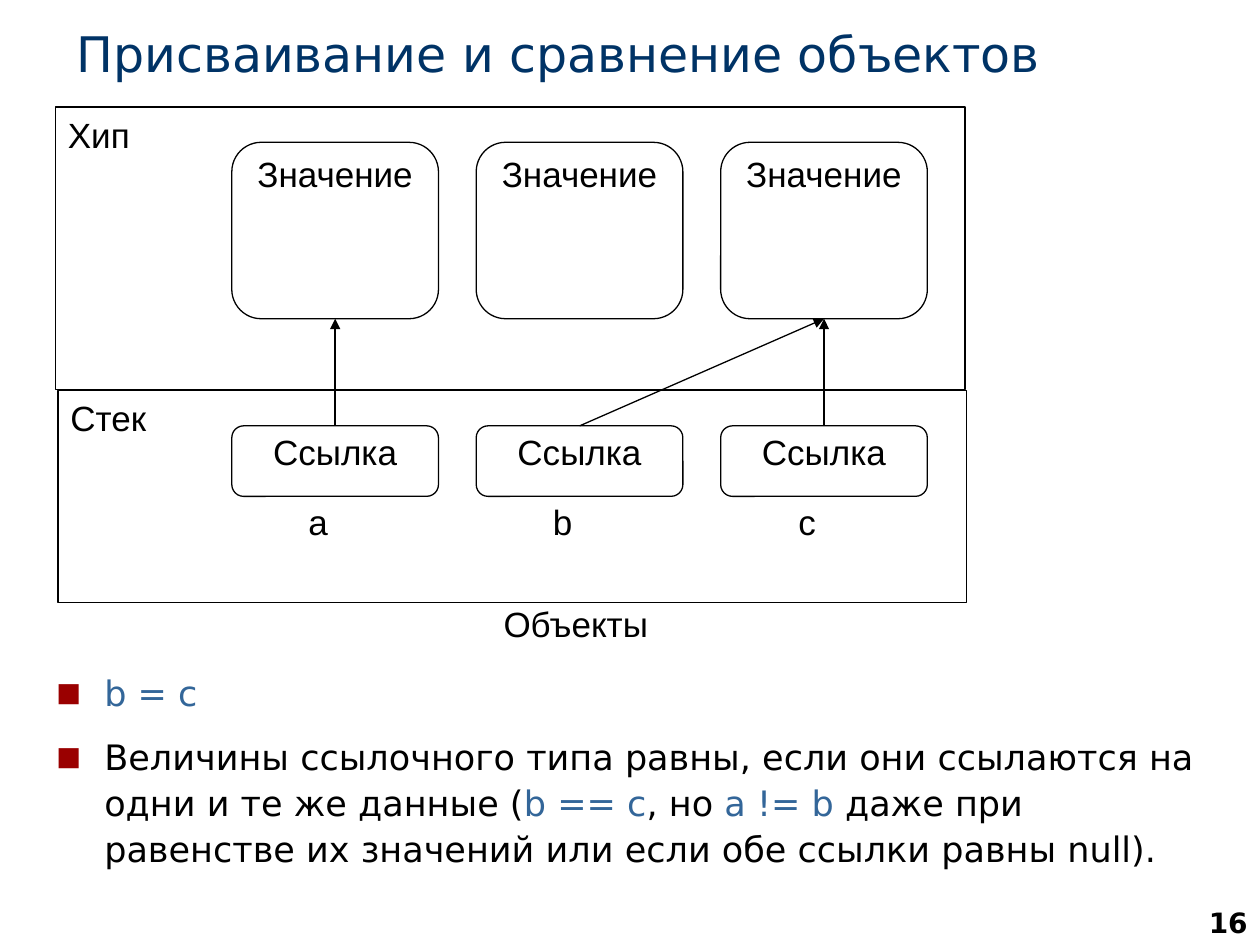
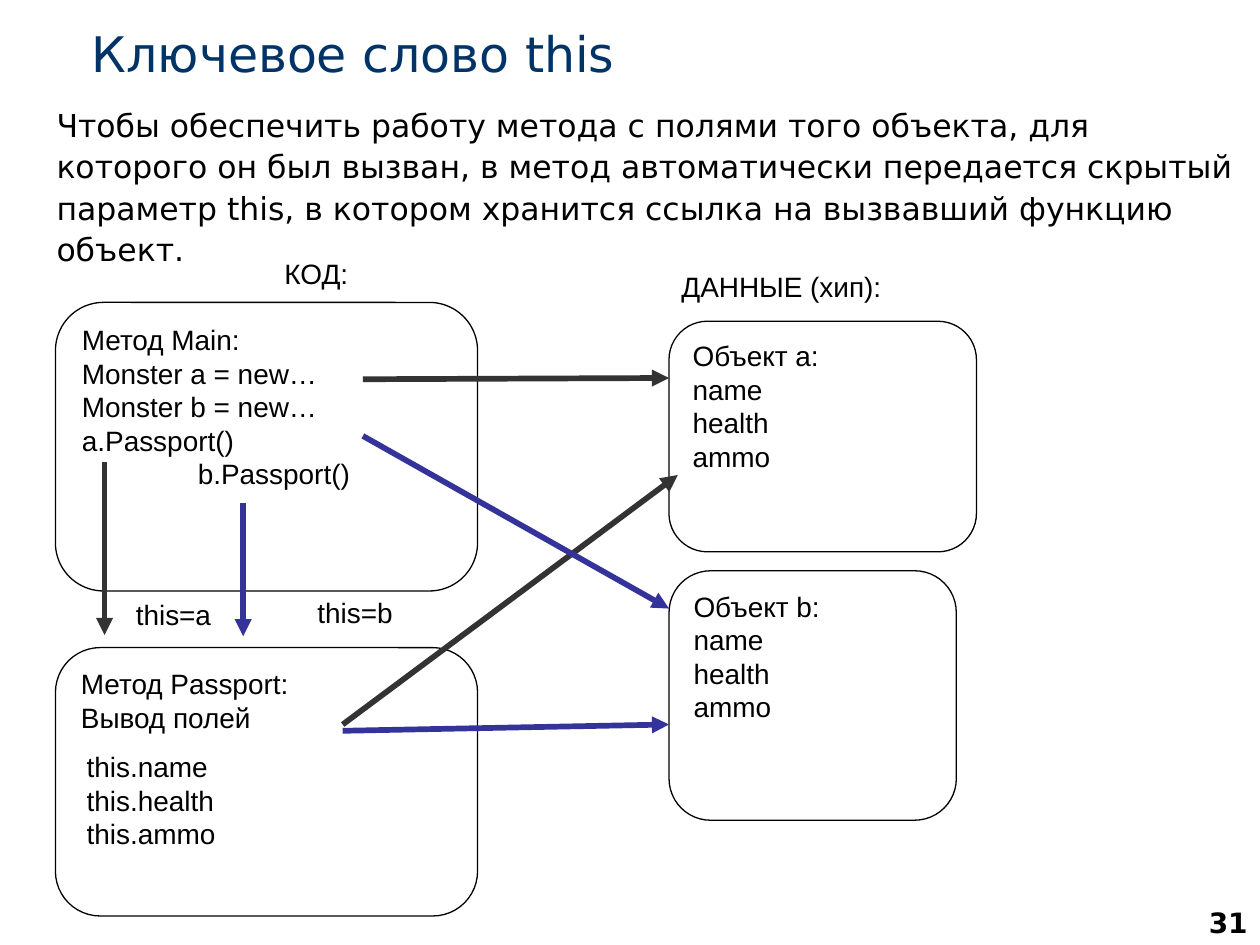
from dataclasses import dataclass
from typing import Optional

from lxml import etree
from pptx import Presentation
from pptx import util as u
from pptx.dml.color import RGBColor
from pptx.enum import shapes, text
from pptx.oxml.ns import qn

# Grid: 100 columns by 75 rows over the whole slide
W, H = u.Inches(10), u.Inches(7.5)
COLS, ROWS = 100, 75

COLORS = {"ink": "000000", "paper": "FFFFFF", "title": "003366", "code": "336699",
          "bullet": "9A0000", "arrow_a": "333333", "arrow_b": "333399"}
SANS, WIDE = "Arial", "DejaVu Sans"
LEFT, CENTER, RIGHT = text.PP_ALIGN.LEFT, text.PP_ALIGN.CENTER, text.PP_ALIGN.RIGHT
TOP, BOTTOM = text.MSO_ANCHOR.TOP, text.MSO_ANCHOR.BOTTOM
RECT, ROUND = shapes.MSO_SHAPE.RECTANGLE, shapes.MSO_SHAPE.ROUNDED_RECTANGLE


@dataclass
class Style:
    size: float = 16
    font: str = SANS
    color: str = "ink"
    bold: bool = False
    align: text.PP_ALIGN = LEFT
    spacing: float = 1.0
    gap: float = 0
    bullet: bool = False


@dataclass
class Para:
    runs: list[tuple[str, str]]  # text, colour name
    indent: float = 0            # columns


@dataclass
class Box:
    at: tuple[float, float, float, float]  # column, row, columns, rows
    lines: list
    style: Style
    kind: Optional[shapes.MSO_SHAPE] = None  # None is a text box
    fill: Optional[str] = None
    line: Optional[str] = None
    tight: bool = False
    anchor: text.MSO_ANCHOR = TOP


@dataclass
class Arrow:
    start: tuple[float, float]
    end: tuple[float, float]
    color: str = "ink"
    width: float = 0.75


PAGE_NUMBER = Style(16, WIDE, bold=True, align=RIGHT)
TITLE = Style(28, WIDE, "title")
LABEL = Style(20)
CENTERED = Style(20, align=CENTER)
SMALL = Style(16)


def rgb(name: str) -> RGBColor:
    return RGBColor.from_string(COLORS[name])


def x(col: float) -> int:
    return round(W * col / COLS)


def y(row: float) -> int:
    return round(H * row / ROWS)


def add_bullet(p) -> None:
    pPr = p._p.get_or_add_pPr()
    pPr.set("marL", str(x(3.8)))
    pPr.set("indent", str(-x(3.8)))
    clr = etree.SubElement(pPr, qn("a:buClr"))
    etree.SubElement(clr, qn("a:srgbClr"), val=COLORS["bullet"])
    etree.SubElement(pPr, qn("a:buSzPct"), val="75000")
    etree.SubElement(pPr, qn("a:buFont"), typeface=WIDE)
    etree.SubElement(pPr, qn("a:buChar"), char="■")


def write(tf, lines: list, style: Style) -> None:
    for i, line in enumerate(lines):
        para = line if isinstance(line, Para) else Para([(line, style.color)])
        p = tf.paragraphs[0] if i == 0 else tf.add_paragraph()
        p.alignment, p.line_spacing = style.align, style.spacing
        p.space_before = p.space_after = u.Pt(style.gap)
        if para.indent:
            p._p.get_or_add_pPr().set("marL", str(x(para.indent)))
        if style.bullet:
            add_bullet(p)
        for words, color in para.runs:
            r = p.add_run()
            r.text = words
            r.font.size, r.font.name, r.font.bold = u.Pt(style.size), style.font, style.bold
            r.font.color.rgb = rgb(color)


def draw_box(s, box: Box):
    col, row, cols, rows = box.at
    place = x(col), y(row), x(cols), y(rows)
    if box.kind is None:
        sp = s.shapes.add_textbox(*place)
    else:
        sp = s.shapes.add_shape(box.kind, *place)
        sp.shadow.inherit = False
        if box.fill:
            sp.fill.solid()
            sp.fill.fore_color.rgb = rgb(box.fill)
        else:
            sp.fill.background()
        if box.line:
            sp.line.color.rgb = rgb(box.line)
            sp.line.width = u.Pt(0.75)
        else:
            sp.line.fill.background()
    tf = sp.text_frame
    tf.word_wrap, tf.vertical_anchor = True, box.anchor
    if box.tight:
        tf.margin_left = tf.margin_right = u.Inches(0.02)
        tf.margin_top = tf.margin_bottom = u.Inches(0.01)
    write(tf, box.lines, box.style)
    return sp


def draw_arrow(s, arrow: Arrow):
    (x1, y1), (x2, y2) = arrow.start, arrow.end
    c = s.shapes.add_connector(shapes.MSO_CONNECTOR.STRAIGHT, x(x1), y(y1), x(x2), y(y2))
    c.line.color.rgb = rgb(arrow.color)
    c.line.width = u.Pt(arrow.width)
    etree.SubElement(c.line._get_or_add_ln(), qn("a:tailEnd"), type="triangle")
    etree.SubElement(c._element.spPr, qn("a:effectLst"))
    return c


def add_slide(prs, title: str, title_col: float, number: str):
    s = prs.slides.add_slide(prs.slide_layouts[5])
    s.background.fill.solid()
    s.background.fill.fore_color.rgb = rgb("paper")
    sp = s.shapes.title
    sp.left, sp.top, sp.width, sp.height = x(title_col), y(1.3), x(93.7), y(5.7)
    tf = sp.text_frame
    tf.auto_size = text.MSO_AUTO_SIZE.NONE
    tf.word_wrap, tf.vertical_anchor = True, BOTTOM
    write(tf, [title], TITLE)
    draw_box(s, Box((79.2, 70, 20.8, 5), [number], PAGE_NUMBER, anchor=BOTTOM))
    return s


def assignment_slide(prs) -> None:
    s = add_slide(prs, "Присваивание и сравнение объектов", 5.1, "16")

    # Memory areas
    draw_box(s, Box((4.4, 8.5, 72.2, 22.4), ["Хип"], LABEL, RECT, line="ink"))
    draw_box(s, Box((4.6, 31, 72.1, 16.8), ["Стек"], LABEL, RECT, line="ink"))
    draw_box(s, Box((33.3, 47.7, 24.8, 5.6), ["Объекты"], CENTERED, tight=True))

    # One column per variable: value above, reference and name below
    values, references = [], []
    for i, name in enumerate(["а", "b", "c"]):
        col = 18.4 + 19.4 * i
        values.append(draw_box(s, Box((col, 11.3, 16.4, 14), ["Значение"], CENTERED,
                                      ROUND, "paper", "ink", tight=True)))
        references.append(draw_box(s, Box((col, 33.8, 16.4, 5.6), ["Ссылка"], CENTERED,
                                          ROUND, "paper", "ink", tight=True)))
        draw_box(s, Box((col + 2.8, 39.6, 8.1, 5.6), [name], CENTERED, tight=True))

    # Both b and c refer to the third value
    for reference, target in zip(references, [0, 2, 2]):
        c = draw_arrow(s, Arrow((0, 0), (1, 1)))
        c.begin_connect(reference, 0)
        c.end_connect(values[target], 2)

    # Conclusions
    draw_box(s, Box((3.5, 52.5, 93.7, 18.9), [
        Para([("b = c", "code")]),
        Para([("Величины ссылочного типа равны, если они ссылаются на одни и те же данные (", "ink"),
              ("b == c", "code"), (", но ", "ink"), ("a != b", "code"),
              (" даже при равенстве их значений или если обе ссылки равны null).", "ink")]),
    ], Style(20, WIDE, spacing=1.1, gap=5, bullet=True)))


def this_slide(prs) -> None:
    s = add_slide(prs, "Ключевое слово this", 6.3, "31")
    draw_box(s, Box((3.5, 7.6, 96.5, 15), [
        "Чтобы обеспечить работу метода с полями того объекта, для которого он был вызван, "
        "в метод автоматически передается скрытый параметр this, в котором хранится ссылка "
        "на вызвавший функцию объект."], Style(18, WIDE, spacing=1.1, gap=4.5)))

    # Methods on the left, objects on the right
    fields = ["name", "health", "ammo"]
    cards = [
        ((4.4, 24, 33.5, 22.9), ["Метод Main:", "Monster a = new…", "Monster b = new…",
                                 "a.Passport()", Para([("b.Passport()", "ink")], 9.2)]),
        ((4.4, 51.4, 33.5, 21.3), ["Метод Passport:", "Вывод полей"]),
        ((53.1, 25.5, 24.4, 18.3), ["Объект a:", *fields]),
        ((53.1, 45.3, 22.8, 19.8), ["Объект b:", *fields]),
    ]
    for at, lines in cards:
        draw_box(s, Box(at, lines, SMALL, ROUND, "paper", "ink"))

    # Captions
    captions = [
        ((21.6, 19.9, 12.7, 4), ["КОД:"]),
        ((53.1, 20.9, 24.4, 4.6), ["ДАННЫЕ (хип):"]),
        ((9.8, 46.9, 10.7, 4.5), ["this=a"]),
        ((24.2, 46.8, 12.2, 4.5), ["this=b"]),
        ((5.9, 59, 18.3, 12.2), [f"this.{field}" for field in fields]),
    ]
    for at, lines in captions:
        draw_box(s, Box(at, lines, SMALL))

    # Dark arrows follow object a, blue ones object b
    routes = {
        "arrow_a": [((28.8, 30.1), (53.1, 30)), ((8.3, 36.7), (8.3, 50.4)),
                    ((27.2, 57.5), (53.8, 37.7))],
        "arrow_b": [((28.8, 34.6), (53.1, 48.3)), ((19.3, 39.9), (19.3, 50.5)),
                    ((27.2, 58), (53.1, 57.5))],
    }
    for color, ends in routes.items():
        for start, end in ends:
            draw_arrow(s, Arrow(start, end, color, 3.25))


def main() -> None:
    prs = Presentation()
    prs.slide_width, prs.slide_height = W, H
    assignment_slide(prs)
    this_slide(prs)
    prs.save("out.pptx")


if __name__ == "__main__":
    main()
